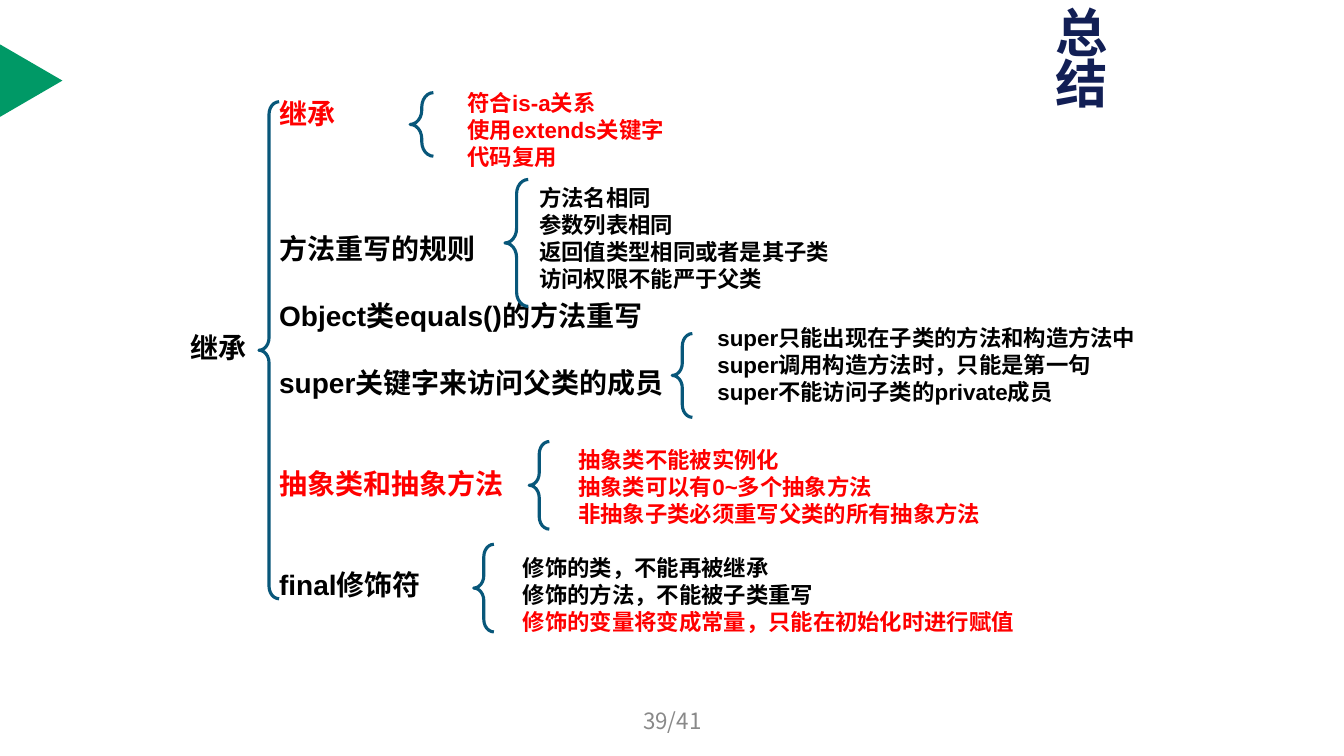
"""Builds the summary slide on inheritance as a tree of braces."""
from lxml import etree
from pptx import Presentation
from pptx.dml.color import RGBColor
from pptx.enum.shapes import MSO_SHAPE
from pptx.enum.text import MSO_ANCHOR, MSO_AUTO_SIZE, PP_ALIGN
from pptx.oxml.ns import qn
from pptx.util import Pt

TRIANGLE, BRACE = MSO_SHAPE.ISOSCELES_TRIANGLE, MSO_SHAPE.LEFT_BRACE
LEFT, CENTER = PP_ALIGN.LEFT, PP_ALIGN.CENTER
TOP, MIDDLE = MSO_ANCHOR.TOP, MSO_ANCHOR.MIDDLE
NO_FIT = MSO_AUTO_SIZE.NONE

RED = RGBColor(0xFF, 0x00, 0x00)
BLACK = RGBColor(0x00, 0x00, 0x00)
NAVY = RGBColor(0x12, 0x1F, 0x55)
TEAL = RGBColor(0x08, 0x57, 0x7A)
GREEN = RGBColor(0x00, 0x99, 0x66)
GRAY = RGBColor(0x89, 0x89, 0x89)

LATIN, CJK = "Arial", "Noto Sans CJK SC"
TOPIC_SIZE, DETAIL_SIZE = 20, 16
LEADING = 1.2

TOPICS = [
    ("继承", RED, 0),
    ("方法重写的规则", BLACK, 3),
    ("Object类equals()的方法重写", BLACK, 1),
    ("super关键字来访问父类的成员", BLACK, 1),
    ("抽象类和抽象方法", RED, 2),
    ("final修饰符", BLACK, 2),
]

DETAILS = [
    ((293, 66.2, 16.6, 45.4), (326.9, 60.5, 255.6, 124),
     [("符合is-a关系", RED), ("使用extends关键字", RED), ("代码复用", RED)]),
    ((360.7, 128.2, 16.6, 90.7), (378, 128.2, 255.6, 109),
     [("方法名相同", BLACK), ("参数列表相同", BLACK),
      ("返回值类型相同或者是其子类", BLACK), ("访问权限不能严于父类", BLACK)]),
    ((480.2, 238.3, 14.4, 59.8), (505.4, 228.2, 332, 104.4),
     [("super只能出现在子类的方法和构造方法中", BLACK),
      ("super调用构造方法时，只能是第一句", BLACK),
      ("super不能访问子类的private成员", BLACK)]),
    ((378, 315.4, 14.4, 62.6), (406, 315.4, 332, 104.4),
     [("抽象类不能被实例化", RED), ("抽象类可以有0~多个抽象方法", RED),
      ("非抽象子类必须重写父类的所有抽象方法", RED)]),
    ((338.4, 388.8, 14.4, 62.6), (366.5, 392.4, 408.2, 104.4),
     [("修饰的类，不能再被继承", BLACK), ("修饰的方法，不能被子类重写", BLACK),
      ("修饰的变量将变成常量，只能在初始化时进行赋值", RED)]),
]


def write(paragraph, text, size=DETAIL_SIZE, color=BLACK, bold=True, latin=LATIN,
          align=LEFT, spacing=None, before=0):
    """Put one formatted run of text into a paragraph."""
    paragraph.alignment = align
    paragraph.line_spacing = spacing or Pt(size * LEADING)
    paragraph.space_before = Pt(before)
    run = paragraph.add_run()
    run.text = text
    run.font.size, run.font.bold, run.font.name = Pt(size), bold, latin
    run.font.color.rgb = color
    etree.SubElement(run.font._element, qn("a:ea"), typeface=CJK)


class BraceSlide:
    """Holds the slide and draws each kind of element on it."""

    def __init__(self, deck):
        """Add a slide with title and body placeholders."""
        self.slide = deck.slides.add_slide(deck.slide_layouts[1])

    def frame(self, holder, box, anchor=TOP):
        """Place a text holder and return its text frame."""
        holder.left, holder.top, holder.width, holder.height = map(Pt, box)
        frame = holder.text_frame
        frame.word_wrap, frame.auto_size = True, NO_FIT
        frame.vertical_anchor = anchor
        return frame

    def title(self, text, box):
        """Fill the title placeholder."""
        frame = self.frame(self.slide.shapes.title, box, MIDDLE)
        write(frame.paragraphs[0], text, size=37.4, color=NAVY, latin=CJK, spacing=0.82)

    def topics(self, topics, box):
        """Fill the body placeholder with topics set apart by whole lines."""
        frame = self.frame(self.slide.placeholders[1], box)
        for index, (text, color, gap) in enumerate(topics):
            paragraph = frame.add_paragraph() if index else frame.paragraphs[0]
            write(paragraph, text, size=TOPIC_SIZE, color=color,
                  before=gap * TOPIC_SIZE * LEADING)
            properties = paragraph._p.get_or_add_pPr()
            properties.set("marL", "0")
            properties.set("indent", "0")
            etree.SubElement(properties, qn("a:buNone"))

    def text(self, lines, box, anchor=TOP, **style):
        """Add a text box with one paragraph for each coloured line."""
        frame = self.frame(self.slide.shapes.add_textbox(*map(Pt, box)), box, anchor)
        for index, (text, color) in enumerate(lines):
            paragraph = frame.add_paragraph() if index else frame.paragraphs[0]
            write(paragraph, text, color=color, **style)

    def brace(self, box):
        """Add an opening brace."""
        brace = self.slide.shapes.add_shape(BRACE, *map(Pt, box))
        brace.shadow.inherit = False
        brace.adjustments[0] = 0.62
        brace.fill.background()
        brace.line.color.rgb, brace.line.width = TEAL, Pt(2.25)

    def marker(self, box):
        """Add the triangle that points in from the left edge."""
        marker = self.slide.shapes.add_shape(TRIANGLE, *map(Pt, box))
        marker.shadow.inherit = False
        marker.rotation = 90
        marker.fill.solid()
        marker.fill.fore_color.rgb = GREEN
        marker.line.fill.background()


def main():
    """Build and save the deck."""
    deck = Presentation()
    deck.slide_width, deck.slide_height = Pt(960), Pt(540)
    summary = BraceSlide(deck)
    summary.marker((-3.6, 35.3, 51.8, 44.6))
    summary.title("总结", (746.6, 21.6, 76.3, 46.1))
    summary.text([("继承", BLACK)], (120.2, 232.6, 71.3, 31.7), size=TOPIC_SIZE, align=CENTER)
    summary.brace((185, 72.7, 14.4, 355))
    summary.topics(TOPICS, (192.2, 65.5, 337, 491.8))
    for brace_box, text_box, lines in DETAILS:
        summary.brace(brace_box)
        summary.text(lines, text_box)
    summary.text([("39/41", GRAY)], (328.3, 500.4, 303.8, 28.8), MIDDLE,
                 bold=False, latin=CJK, align=CENTER, spacing=1.0)
    deck.save("out.pptx")


if __name__ == "__main__":
    main()
